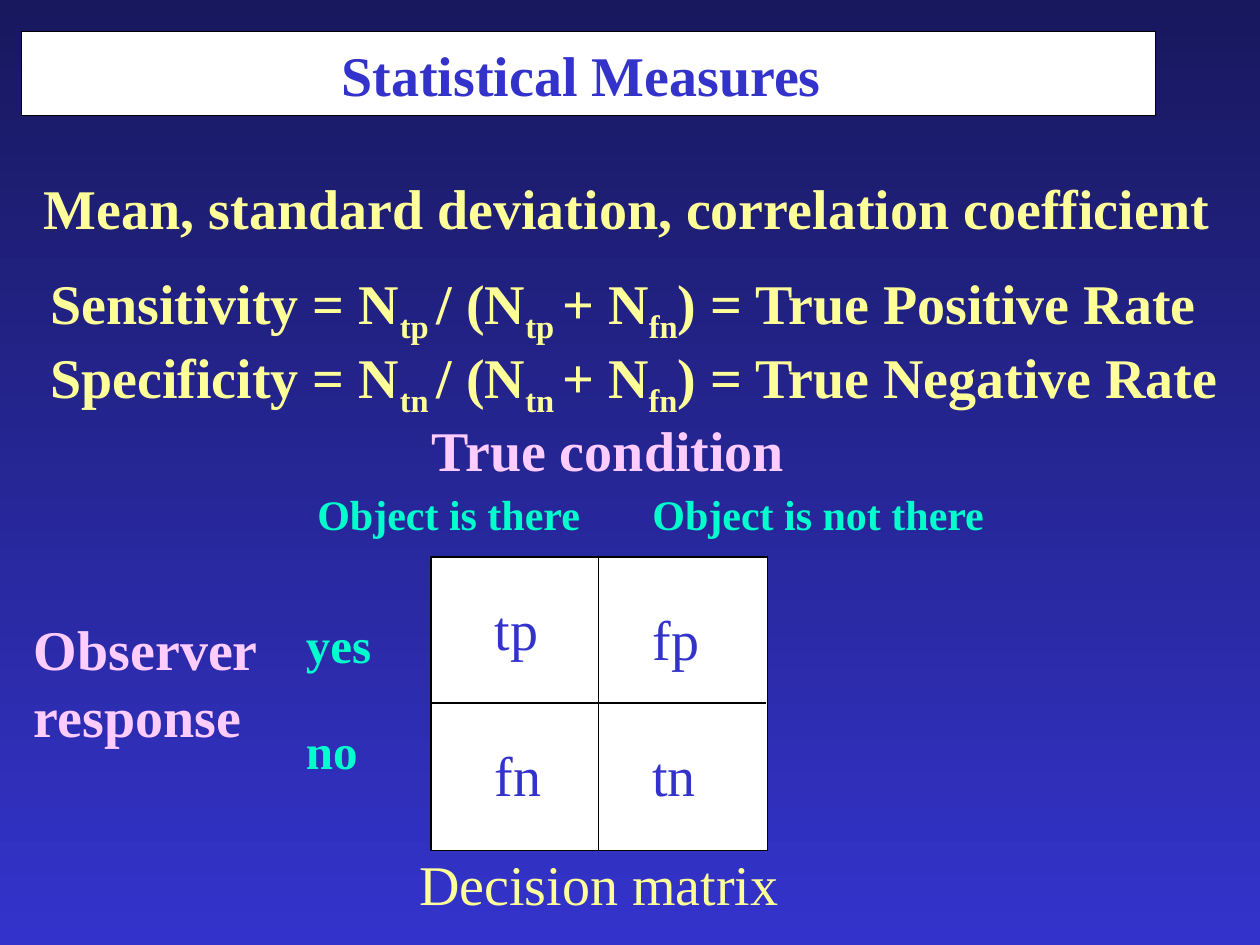
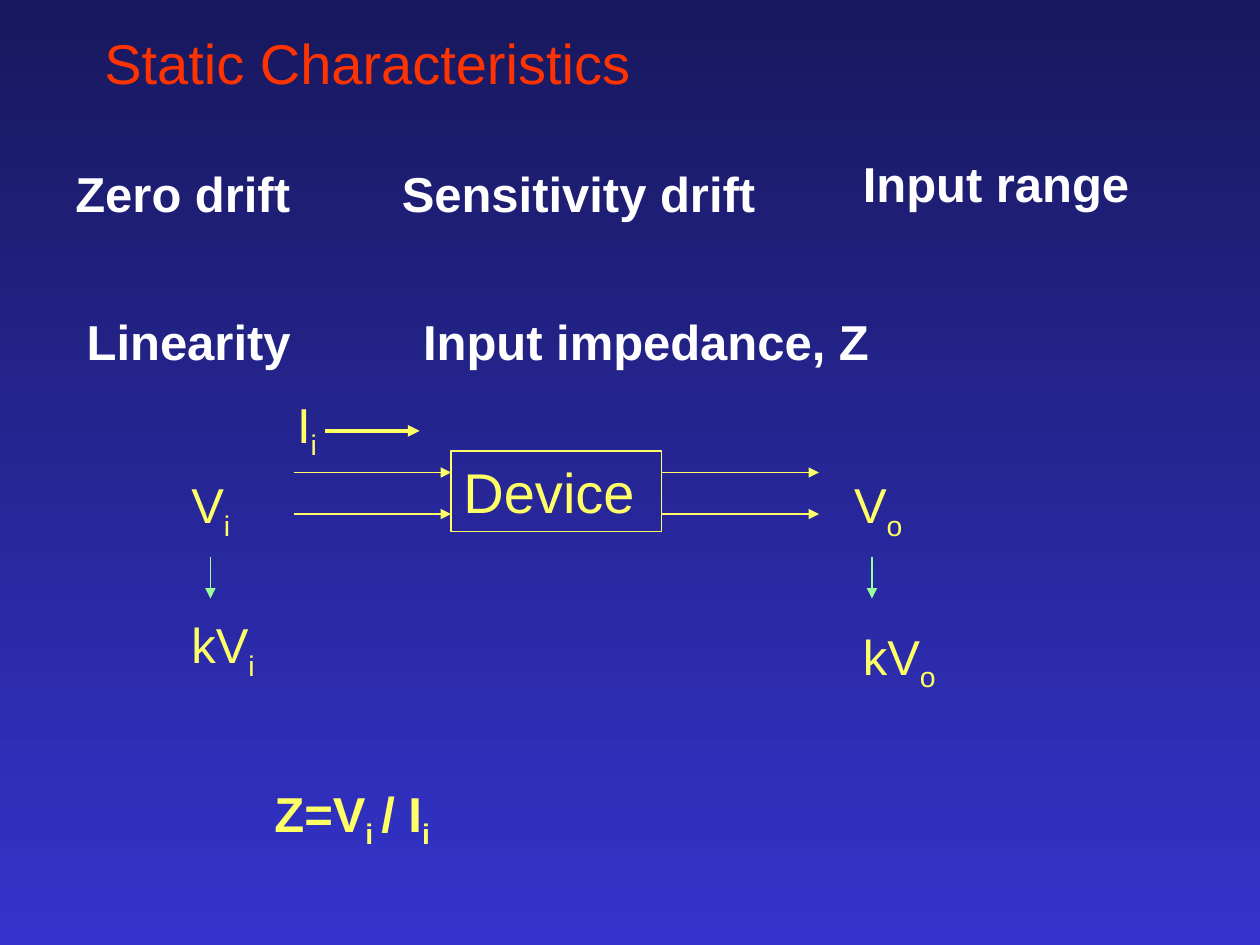
"""Build two slides on statistical measures and static characteristics."""
from lxml import etree
from pptx import Presentation
from pptx.dml.color import RGBColor
from pptx.enum.shapes import MSO_CONNECTOR, MSO_SHAPE
from pptx.enum.text import MSO_ANCHOR, MSO_AUTO_SIZE, PP_ALIGN
from pptx.oxml.ns import qn
from pptx.util import Inches, Pt

NAVY = RGBColor(0x18, 0x18, 0x5E)
BLUE = RGBColor(0x33, 0x33, 0xCC)
WHITE = RGBColor(0xFF, 0xFF, 0xFF)
BLACK = RGBColor(0x00, 0x00, 0x00)
CREAM = RGBColor(0xFF, 0xFF, 0x99)
PINK = RGBColor(0xFF, 0xCC, 0xFF)
AQUA = RGBColor(0x00, 0xFF, 0xCC)
RED = RGBColor(0xFF, 0x33, 0x00)
YELLOW = RGBColor(0xFF, 0xFF, 0x66)
GREEN = RGBColor(0x99, 0xFF, 0x99)
SERIF = "Times New Roman"
SANS = "Arial"


def write_text(shape, text, font, size, color, bold=False):
    """Write text into a shape; every second part between bars is a subscript."""
    frame = shape.text_frame
    frame.word_wrap = True
    frame.auto_size = MSO_AUTO_SIZE.SHAPE_TO_FIT_TEXT
    frame.vertical_anchor = MSO_ANCHOR.TOP
    paragraph = frame.paragraphs[0]
    paragraph.alignment = PP_ALIGN.LEFT
    for index, part in enumerate(text.split("|")):
        if not part:
            continue
        run = paragraph.add_run()
        run.text = part
        run.font.name = font
        run.font.size = Pt(size)
        run.font.bold = bold
        run.font.color.rgb = color
        if index % 2:
            run.font._element.set("baseline", "-25000")


def add_line(slide, start, end, color, width=0.75, arrow=True):
    """Draw a straight line, with an arrowhead at its end if wanted."""
    points = [Inches(value) for value in (*start, *end)]
    line = slide.shapes.add_connector(MSO_CONNECTOR.STRAIGHT, *points)
    line.line.color.rgb = color
    line.line.width = Pt(width)
    if arrow:
        etree.SubElement(line.line._get_or_add_ln(), qn("a:tailEnd"), type="triangle")
    etree.SubElement(line._element.spPr, qn("a:effectLst"))


presentation = Presentation()
presentation.slide_width = Inches(10)
presentation.slide_height = Inches(7.5)

slides = [presentation.slides.add_slide(presentation.slide_layouts[6]) for _ in range(2)]
for slide in slides:
    background = slide.background.fill
    background.gradient()
    background.gradient_angle = 270
    for stop, position, color in zip(background.gradient_stops, (0, 1), (NAVY, BLUE)):
        stop.position = position
        stop.color.rgb = color
measures, characteristics = slides

title_band, matrix = [
    measures.shapes.add_shape(MSO_SHAPE.RECTANGLE, *map(Inches, box))
    for box in ((0.17, 0.25, 9, 0.67), (3.42, 4.42, 2.67, 2.33))
]
for shape in (title_band, matrix):
    shape.shadow.inherit = False
    shape.fill.solid()
    shape.fill.fore_color.rgb = WHITE
    shape.line.color.rgb = BLACK
    shape.line.width = Pt(0.75)
write_text(title_band, "Statistical Measures ", SERIF, 32, BLUE, bold=True)
title_band.text_frame.word_wrap = False
title_band.text_frame.auto_size = MSO_AUTO_SIZE.NONE
title_band.text_frame.vertical_anchor = MSO_ANCHOR.MIDDLE
title_band.text_frame.paragraphs[0].alignment = PP_ALIGN.CENTER

add_line(measures, (3.42, 5.58), (6.08, 5.58), BLACK, arrow=False)
add_line(measures, (4.75, 4.42), (4.75, 6.75), BLACK, arrow=False)

headlines = [
    ((0.25, 1.33, 9.6, 0.64), "Mean, standard deviation, correlation coefficient"),
    ((0.3, 2.08, 9.6, 0.71), "Sensitivity = N|tp |/ (N|tp |+ N|fn|) = True Positive Rate"),
    ((0.3, 2.67, 9.6, 0.71), "Specificity = N|tn |/ (N|tn |+ N|fn|) = True Negative Rate"),
]
for box, text in headlines:
    textbox = measures.shapes.add_textbox(*map(Inches, box))
    write_text(textbox, text, SERIF, 32, CREAM, bold=True)

matrix_caption = measures.shapes.add_textbox(*map(Inches, (3.23, 6.69, 3.12, 0.64)))
write_text(matrix_caption, "Decision matrix", SERIF, 32, CREAM)

outcomes = [
    ((3.83, 4.67, 0.56, 0.64), "tp"),
    ((5.08, 4.75, 0.83, 0.64), "fp"),
    ((3.83, 5.83, 0.67, 0.64), "fn"),
    ((5.08, 5.83, 0.56, 0.64), "tn"),
]
for box, text in outcomes:
    textbox = measures.shapes.add_textbox(*map(Inches, box))
    write_text(textbox, text, SERIF, 32, BLUE)

matrix_labels = [
    ((3.33, 3.25, 3.25, 0.64), "True condition", 32, PINK),
    ((0.17, 4.83, 2.25, 1.17), "Observer response", 32, PINK),
    ((2.42, 3.83, 2.5, 0.5), "Object is there", 24, AQUA),
    ((5.08, 3.83, 3, 0.5), "Object is not there", 24, AQUA),
    ((2.33, 4.83, 1.08, 0.57), "yes", 28, AQUA),
    ((2.33, 5.67, 1.08, 0.57), "no", 28, AQUA),
]
for box, text, size, color in matrix_labels:
    textbox = measures.shapes.add_textbox(*map(Inches, box))
    write_text(textbox, text, SERIF, size, color, bold=True)

title = characteristics.shapes.add_textbox(*map(Inches, (0.73, 0.18, 4.45, 0.64)))
write_text(title, "Static Characteristics", SANS, 32, RED)

terms = [
    ((0.5, 1.25, 1.98, 0.57), "Zero drift"),
    ((3.09, 1.25, 3.08, 0.57), "Sensitivity drift"),
    ((6.75, 1.17, 2.39, 0.57), "Input range"),
    ((0.59, 2.42, 1.9, 0.57), "Linearity"),
    ((3.26, 2.42, 3.82, 0.57), "Input impedance, Z"),
]
for box, text in terms:
    textbox = characteristics.shapes.add_textbox(*map(Inches, box))
    write_text(textbox, text, SANS, 28, WHITE, bold=True)

device = characteristics.shapes.add_shape(
    MSO_SHAPE.RECTANGLE, *map(Inches, (3.58, 3.58, 1.67, 0.64)))
device.shadow.inherit = False
device.fill.background()
device.line.color.rgb = YELLOW
device.line.width = Pt(0.75)
write_text(device, "Device", SANS, 32, YELLOW)

for left in (2.33, 5.25):
    for top in (3.75, 4.08):
        add_line(characteristics, (left, top), (left + 1.25, top), YELLOW)
for left in (1.67, 6.92):
    add_line(characteristics, (left, 4.42), (left, 4.75), GREEN)
add_line(characteristics, (2.58, 3.42), (3.33, 3.42), YELLOW, width=2.25)

signals = [
    ((1.42, 3.72, 0.6, 0.63), "V|i", False),
    ((6.68, 3.72, 0.67, 0.63), "V|o", False),
    ((2.26, 3.08, 0.45, 0.63), "I|i", False),
    ((1.42, 4.83, 0.92, 0.63), "kV|i", False),
    ((6.75, 4.92, 0.92, 0.63), "kV|o", False),
    ((2.08, 6.17, 3, 0.63), "Z=V|i |/ I|i", True),
]
for box, text, bold in signals:
    textbox = characteristics.shapes.add_textbox(*map(Inches, box))
    write_text(textbox, text, SANS, 28, YELLOW, bold)

presentation.save("out.pptx")
